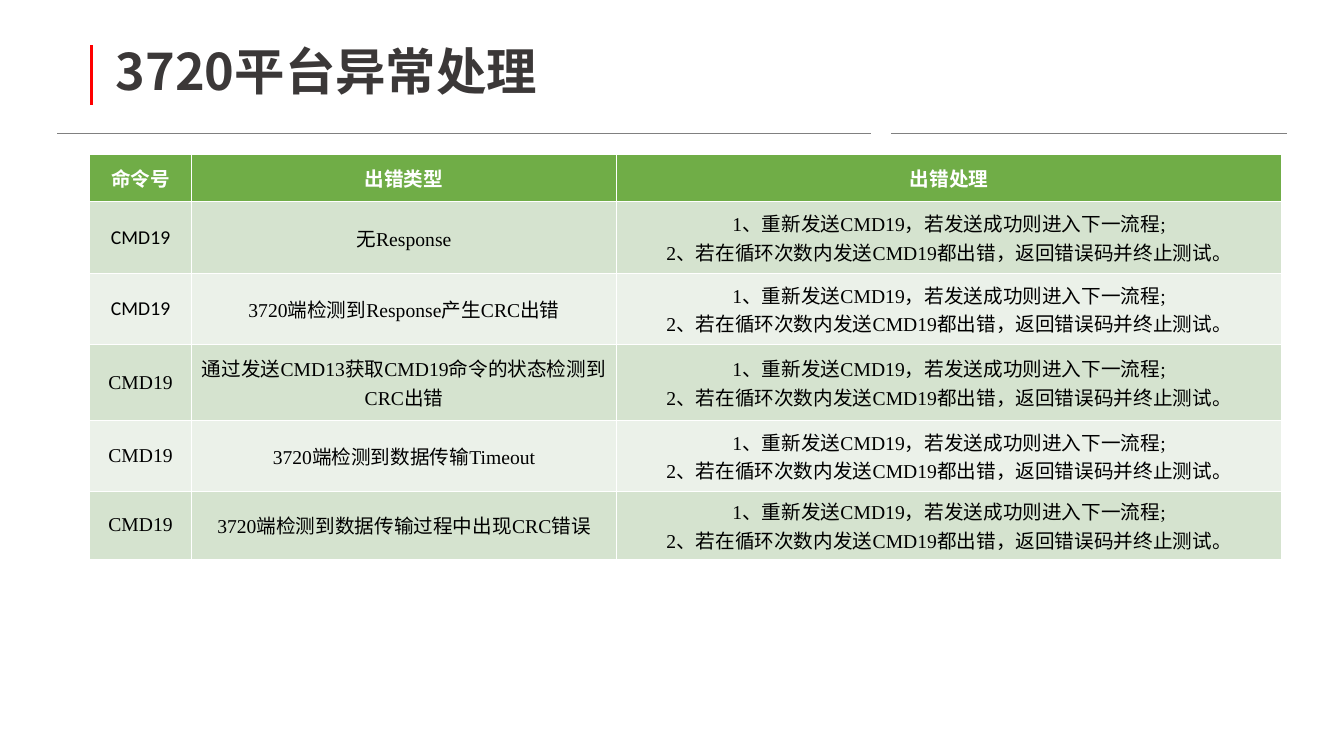
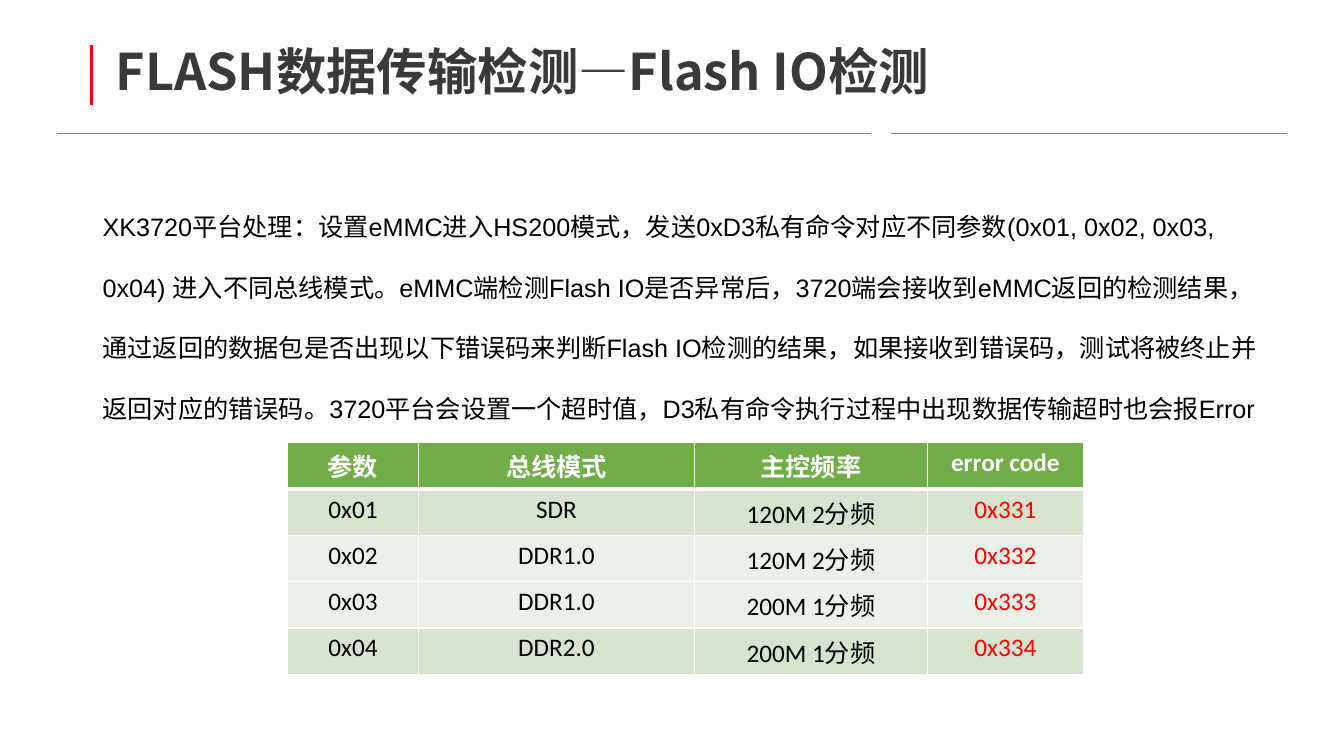
from lxml import etree
from pptx import Presentation
from pptx.dml.color import RGBColor
from pptx.enum.shapes import MSO_CONNECTOR, MSO_SHAPE
from pptx.enum.text import MSO_ANCHOR, PP_ALIGN
from pptx.oxml.ns import qn
from pptx.util import Pt

LEFT, CENTER = PP_ALIGN.LEFT, PP_ALIGN.CENTER
TOP, MIDDLE = MSO_ANCHOR.TOP, MSO_ANCHOR.MIDDLE
STRAIGHT, RECTANGLE = MSO_CONNECTOR.STRAIGHT, MSO_SHAPE.RECTANGLE

WHITE, BLACK, RED = "FFFFFF", "000000", "FF0000"
GRAY, TITLE_COLOR = "808080", "3B3838"
HEADER_GREEN, DARK_BAND, LIGHT_BAND = "70AD47", "D5E3CF", "EBF1E9"
CJK, CALIBRI, TIMES, ARIAL = "Noto Sans CJK SC", "Calibri", "Times New Roman", "Arial"


def rgb(color):
    return RGBColor.from_string(color)


def write(tf, text, size=14, font=CALIBRI, color=BLACK, bold=False,
          align=LEFT, spacing=None):
    """Fill a text frame, one paragraph for each line of text."""
    for i, line in enumerate(text.split("\n")):
        p = tf.add_paragraph() if i else tf.paragraphs[0]
        p.alignment = align
        if spacing:
            p.line_spacing = spacing
        r = p.add_run()
        r.text = line
        r.font.size, r.font.name, r.font.bold = Pt(size), font, bold
        r.font.color.rgb = rgb(color)
        etree.SubElement(r._r.get_or_add_rPr(), qn("a:ea"), typeface=CJK)


def set_borders(cell, **widths):
    """Draw white cell borders; widths in points, keyed L, R, T, B."""
    tc_pr = cell._tc.get_or_add_tcPr()
    for side, width in widths.items():
        ln = etree.SubElement(tc_pr, qn(f"a:ln{side}"), w=str(Pt(width)))
        fill = etree.SubElement(ln, qn("a:solidFill"))
        etree.SubElement(fill, qn("a:srgbClr"), val=WHITE)


class Deck:
    def __init__(self):
        self.prs = Presentation()
        self.prs.slide_width, self.prs.slide_height = Pt(960), Pt(540)
        self.s = None

    def new_slide(self, title):
        self.s = self.prs.slides.add_slide(self.prs.slide_layouts[6])
        self.line(41, 95, 622, 95, GRAY, 0.5)
        self.line(636.5, 95, 919.5, 95, GRAY, 0.5)
        self.line(65.5, 32.4, 65.5, 75, RED, 2.25)
        box = self.s.shapes.add_textbox(Pt(75.6), Pt(16.5), Pt(828), Pt(73.5))
        tf = box.text_frame
        tf.word_wrap, tf.vertical_anchor = True, MIDDLE
        write(tf, title, size=36, font=CJK, color=TITLE_COLOR, bold=True,
              spacing=0.9)

    def line(self, x1, y1, x2, y2, color, width):
        ln = self.s.shapes.add_connector(STRAIGHT, Pt(x1), Pt(y1), Pt(x2), Pt(y2))
        ln.line.color.rgb, ln.line.width = rgb(color), Pt(width)
        etree.SubElement(ln._element.spPr, qn("a:effectLst"))

    def panel(self, x, y, w, h, text, **style):
        sp = self.s.shapes.add_shape(RECTANGLE, Pt(x), Pt(y), Pt(w), Pt(h))
        sp.shadow.inherit = False
        sp.fill.solid()
        sp.fill.fore_color.rgb = rgb(WHITE)
        sp.line.fill.background()
        tf = sp.text_frame
        tf.word_wrap, tf.vertical_anchor = True, TOP
        write(tf, text, **style)

    def table(self, x, y, widths, heights, rows, bands, cell_style,
              size=14, anchor=MIDDLE, border=1, header_border=1):
        """Draw a table; cell_style(row, column) gives the body text format."""
        frame = self.s.shapes.add_table(len(rows), len(widths), Pt(x), Pt(y),
                                        Pt(sum(widths)), Pt(sum(heights)))
        table = frame.table
        table.first_row = table.horz_banding = False
        for column, width in zip(table.columns, widths):
            column.width = Pt(width)
        for row, height in zip(table.rows, heights):
            row.height = Pt(height)
        for i, (texts, band) in enumerate(zip(rows, [HEADER_GREEN] + bands)):
            for j, text in enumerate(texts):
                cell = table.cell(i, j)
                cell.vertical_anchor = anchor
                set_borders(cell, L=border, R=border,
                            T=header_border if i == 1 else border,
                            B=header_border if i == 0 else border)
                cell.fill.solid()
                cell.fill.fore_color.rgb = rgb(band)
                style = cell_style(i, j) if i else {"color": WHITE, "bold": True}
                write(cell.text_frame, text, size=size, align=CENTER, **style)


def error_handling_slide(deck):
    deck.new_slide("3720平台异常处理")
    handling = ("1、重新发送CMD19，若发送成功则进入下一流程;\n"
                "2、若在循环次数内发送CMD19都出错，返回错误码并终止测试。")
    errors = [
        "无Response",
        "3720端检测到Response产生CRC出错",
        "通过发送CMD13获取CMD19命令的状态检测到CRC出错",
        "3720端检测到数据传输Timeout",
        "3720端检测到数据传输过程中出现CRC错误",
    ]
    rows = [("命令号", "出错类型", "出错处理")]
    rows += [("CMD19", error, handling) for error in errors]

    def cell_style(i, j):
        return {"font": CALIBRI if j == 0 and i < 3 else TIMES}

    deck.table(64.2, 110.4, [72.5, 303.8, 475], [33.4, 51.8, 50.4, 54.7, 50.2, 48.6],
               rows, [DARK_BAND, LIGHT_BAND, DARK_BAND, LIGHT_BAND, DARK_BAND],
               cell_style, border=0.75, header_border=0.75)


def flash_io_slide(deck):
    deck.new_slide("FLASH数据传输检测—Flash IO检测")
    deck.panel(
        66.2, 126, 851, 380,
        "XK3720平台处理：设置eMMC进入HS200模式，发送0xD3私有命令对应不同参数"
        "(0x01, 0x02, 0x03, 0x04) 进入不同总线模式。eMMC端检测Flash IO是否异常后，"
        "3720端会接收到eMMC返回的检测结果，通过返回的数据包是否出现以下错误码来判断"
        "Flash IO检测的结果，如果接收到错误码，测试将被终止并返回对应的错误码。"
        "3720平台会设置一个超时值，D3私有命令执行过程中出现数据传输超时也会报Error",
        size=18, font=ARIAL, spacing=2)
    rows = [
        ("参数", "总线模式", "主控频率", "error code"),
        ("0x01", "SDR", "120M 2分频", "0x331"),
        ("0x02", "DDR1.0", "120M 2分频", "0x332"),
        ("0x03", "DDR1.0", "200M 1分频", "0x333"),
        ("0x04", "DDR2.0", "200M 1分频", "0x334"),
    ]

    def cell_style(i, j):
        return {"color": RED if j == 3 else BLACK}

    deck.table(205.4, 316.2, [93.5, 197.2, 166.4, 111.4], [33.1] * len(rows),
               rows, [DARK_BAND, LIGHT_BAND, LIGHT_BAND, DARK_BAND],
               cell_style, size=18, anchor=TOP, header_border=3)


def main():
    deck = Deck()
    error_handling_slide(deck)
    flash_io_slide(deck)
    deck.prs.save("out.pptx")


if __name__ == "__main__":
    main()
